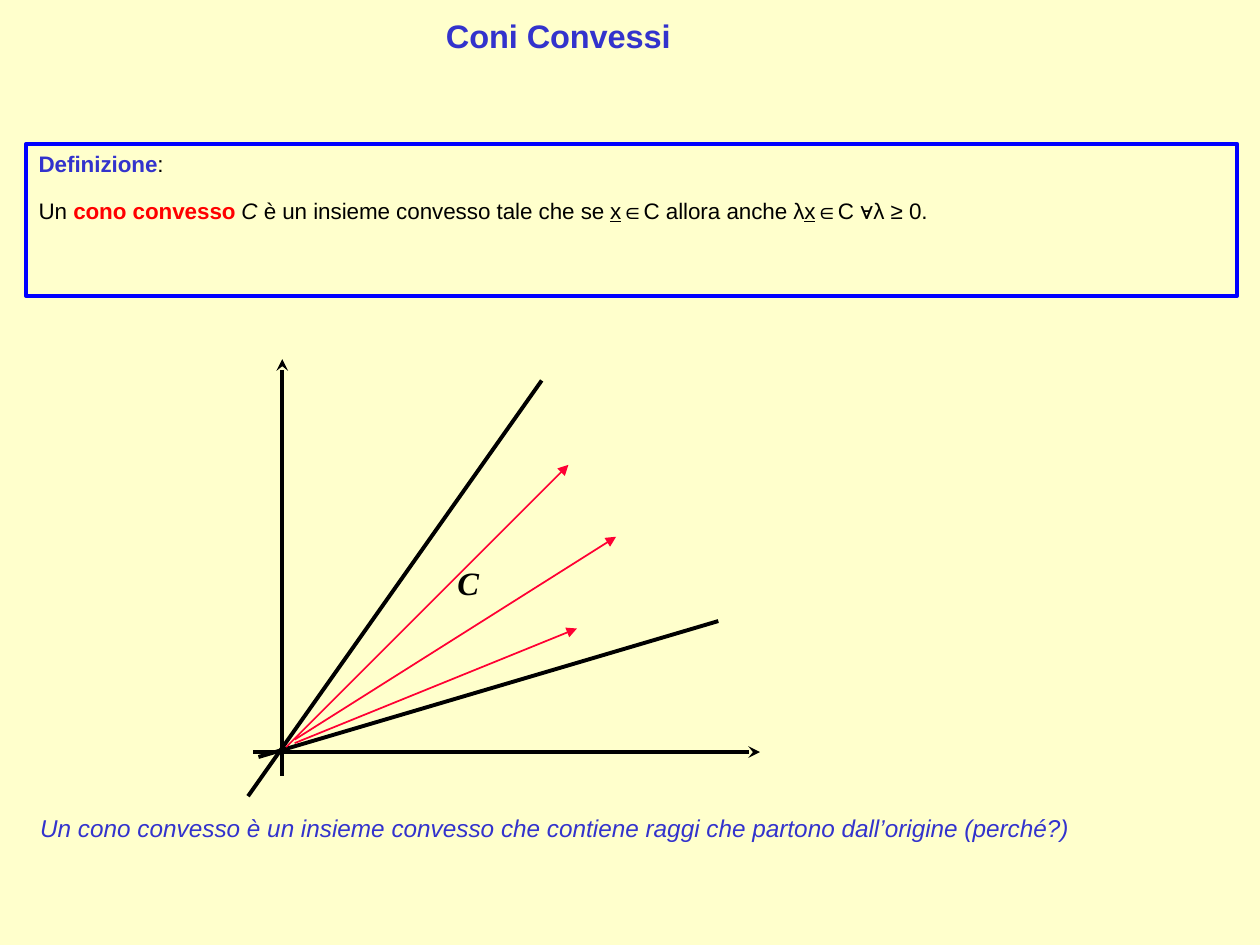
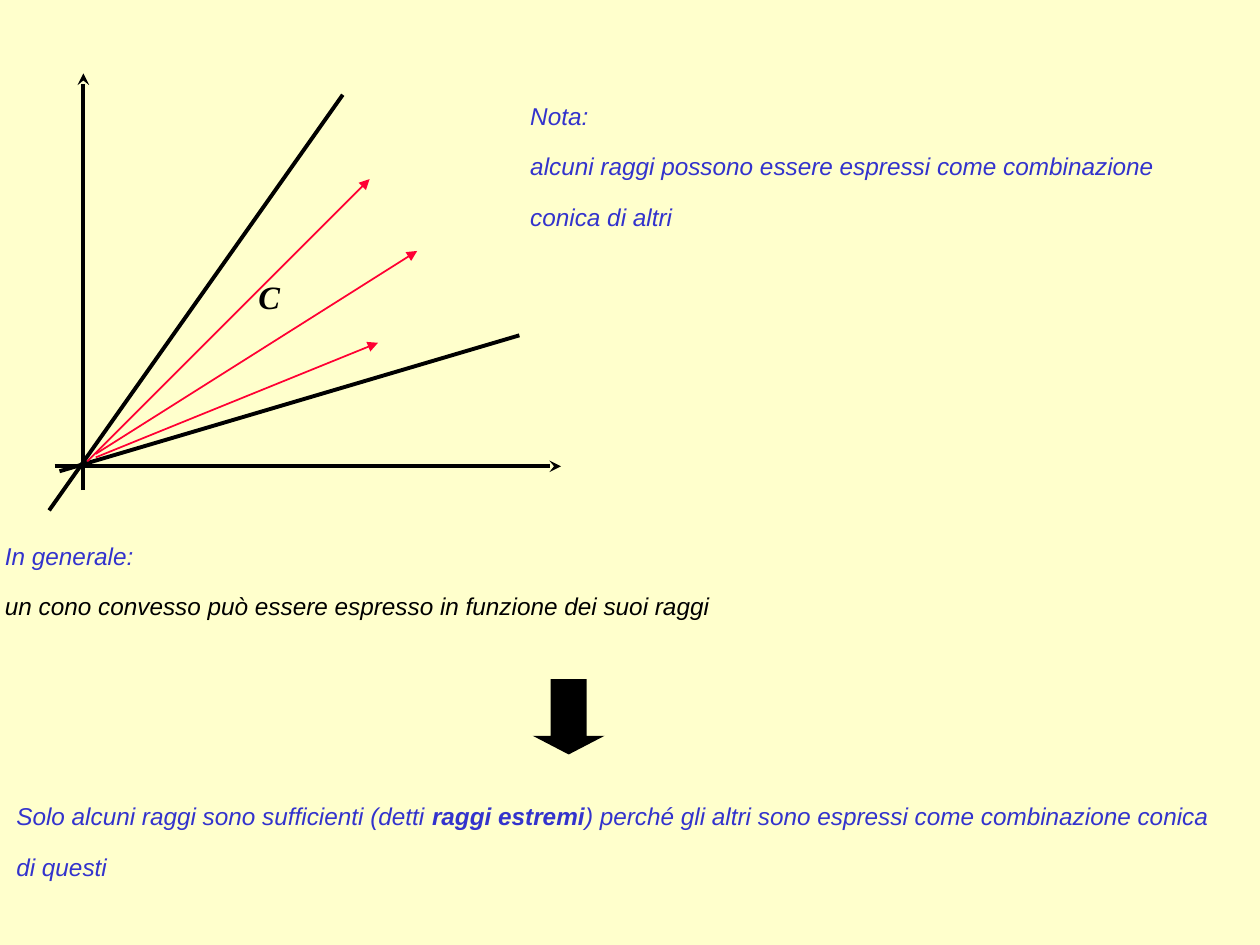
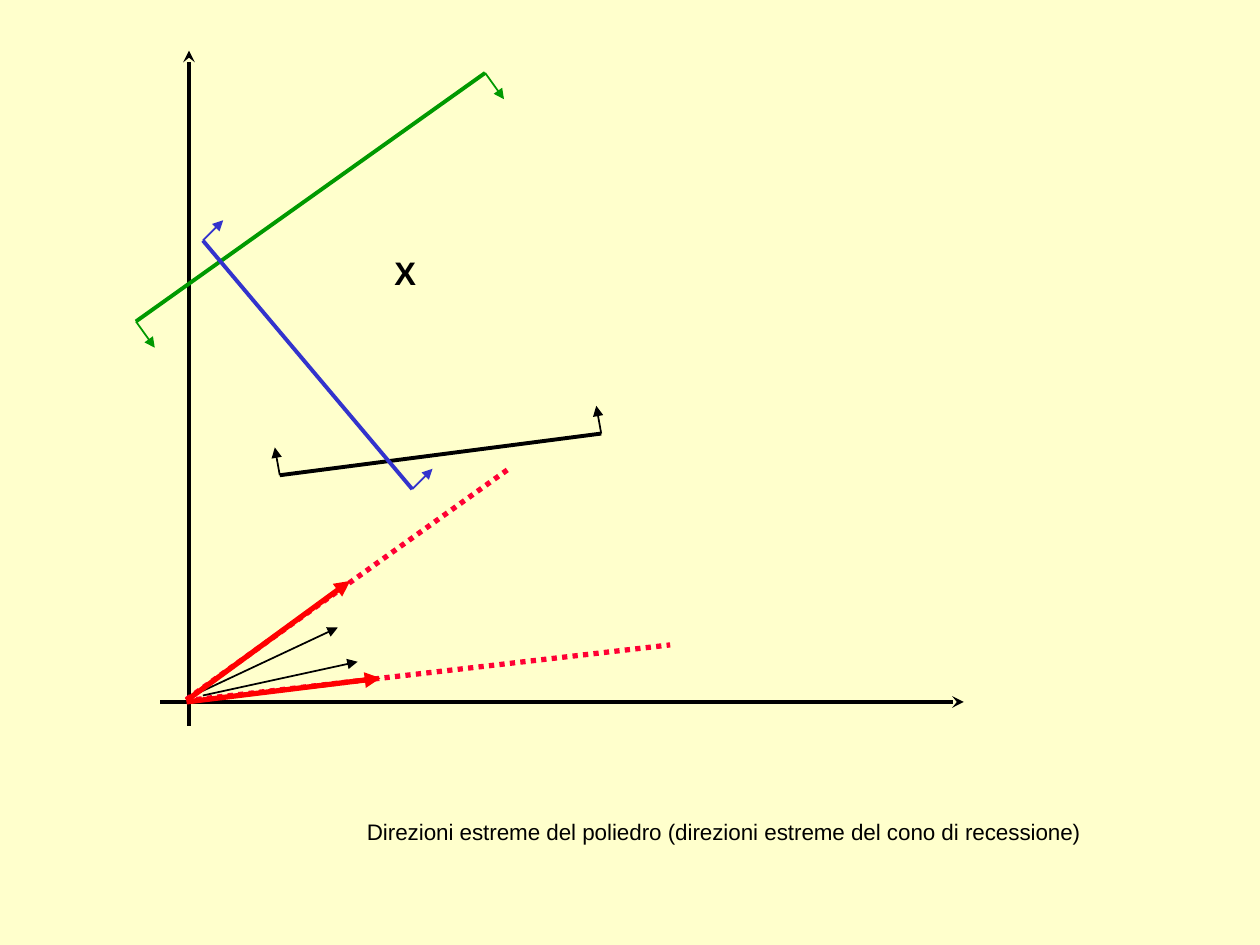
from dataclasses import dataclass
from typing import NamedTuple, Optional

from lxml.etree import SubElement
from pptx import Presentation
from pptx.dml.color import RGBColor
from pptx.enum.dml import MSO_LINE_DASH_STYLE as Dash
from pptx.enum.shapes import MSO_CONNECTOR_TYPE as Connector, MSO_SHAPE as Preset
from pptx.enum.text import MSO_ANCHOR as Anchor, MSO_AUTO_SIZE as AutoSize, PP_ALIGN as Align
from pptx.oxml.ns import qn
from pptx.util import Cm, Pt


# Theme: colours, type sizes and line widths
@dataclass(frozen=True)
class Theme:
    background: str = "FFFFCC"
    accent: str = "3333CC"
    ink: str = "000000"
    frame: str = "0000FF"
    strong: str = "FF0000"
    ray: str = "FF0033"
    green: str = "009900"
    sans: str = "Arial"
    serif: str = "Times New Roman"
    heading_size: int = 32
    note_size: int = 24
    body_size: int = 22
    thin: float = 1
    medium: float = 2.25
    thick: float = 3
    raised: str = "43000"  # all text is set as superscript


THEME = Theme()


class Point(NamedTuple):
    x: float
    y: float

    def moved(self, dx: float, dy: float) -> "Point":
        return Point(round(self.x + dx, 2), round(self.y + dy, 2))


class Box(NamedTuple):
    left: float
    top: float
    width: float
    height: float


@dataclass(frozen=True)
class TextStyle:
    size: int
    color: str
    font: str = THEME.sans
    bold: bool = False
    italic: bool = False
    align: Align = Align.LEFT


class Piece(NamedTuple):
    text: str
    color: Optional[str] = None
    bold: Optional[bool] = None
    italic: Optional[bool] = None
    underline: Optional[bool] = None


class Stroke(NamedTuple):
    start: Point
    end: Point
    color: str = THEME.ink
    width: float = THEME.medium
    arrow: Optional[str] = None
    dash: Optional[Dash] = None


class HalfPlane(NamedTuple):
    start: Point
    end: Point
    normal: Point
    color: str


TITLE = TextStyle(THEME.heading_size, THEME.accent, bold=True)
NOTE = TextStyle(THEME.note_size, THEME.accent, italic=True)
BODY = TextStyle(THEME.body_size, THEME.ink)
CAPTION = TextStyle(THEME.body_size, THEME.ink, align=Align.CENTER)
CONE_LABEL = TextStyle(THEME.heading_size, THEME.ink, THEME.serif, bold=True, italic=True)
SET_LABEL = TextStyle(THEME.heading_size, THEME.ink, bold=True)

# Cone figure, relative to the crossing of its axes
CONE_EDGES = [
    (Point(-0.69, 0.89), Point(5.23, -7.49)),
    (Point(-0.48, 0.1), Point(8.79, -2.64)),
]
CONE_RAYS = [
    (Point(0.08, -0.1), Point(5.77, -5.79)),
    (Point(0.25, -0.25), Point(6.73, -4.34)),
    (Point(0.25, -0.18), Point(5.94, -2.49)),
]

HALF_PLANES = [
    HalfPlane(Point(2.74, 6.48), Point(9.78, 1.47), Point(0.38, 0.53), THEME.green),
    HalfPlane(Point(5.64, 9.58), Point(12.12, 8.74), Point(-0.1, -0.56), THEME.ink),
    HalfPlane(Point(4.09, 4.85), Point(8.31, 9.86), Point(0.41, -0.41), THEME.accent),
]


# Text
def write(shape, paragraphs: list[list[Piece]], style: TextStyle,
          inset: tuple[float, float] = (0.25, 0.13), wrap: bool = True) -> None:
    frame = shape.text_frame
    frame.word_wrap = wrap
    frame.auto_size = AutoSize.SHAPE_TO_FIT_TEXT
    frame.vertical_anchor = Anchor.TOP
    frame.margin_left = frame.margin_right = Cm(inset[0])
    frame.margin_top = frame.margin_bottom = Cm(inset[1])
    for index, pieces in enumerate(paragraphs):
        paragraph = frame.paragraphs[0] if index == 0 else frame.add_paragraph()
        paragraph.alignment = style.align
        font = paragraph.font
        font.name, font.size = style.font, Pt(style.size)
        font.bold, font.italic = style.bold, style.italic
        font.color.rgb = RGBColor.from_string(style.color)
        paragraph._p.pPr.find(qn("a:defRPr")).set("baseline", THEME.raised)
        for piece in pieces:
            run = paragraph.add_run()
            run.text = piece.text
            run.font.bold, run.font.italic = piece.bold, piece.italic
            run.font.underline = piece.underline
            if piece.color:
                run.font.color.rgb = RGBColor.from_string(piece.color)


def add_text(slide, box: Box, paragraphs: list[list[Piece]], style: TextStyle,
             inset: tuple[float, float] = (0.25, 0.13), wrap: bool = True) -> None:
    write(slide.shapes.add_textbox(*map(Cm, box)), paragraphs, style, inset, wrap)


def add_label(slide, corner: Point, text: str, style: TextStyle) -> None:
    add_text(slide, Box(*corner, 1.27, 1.6), [[Piece(text)]], style, wrap=False)


# Lines and figures
def add_stroke(slide, stroke: Stroke) -> None:
    connector = slide.shapes.add_connector(
        Connector.STRAIGHT, *map(Cm, (*stroke.start, *stroke.end)))
    line = connector.line
    line.color.rgb = RGBColor.from_string(stroke.color)
    line.width = Pt(stroke.width)
    if stroke.dash:
        line.dash_style = stroke.dash
    if stroke.arrow:
        SubElement(line._get_or_add_ln(), qn("a:tailEnd"), type=stroke.arrow)
    SubElement(connector._element.spPr, qn("a:effectLst"))


def add_axes(slide, origin: Point, up: float, right: float) -> None:
    add_stroke(slide, Stroke(origin.moved(0, 0.48), origin.moved(0, -up), arrow="stealth"))
    add_stroke(slide, Stroke(origin.moved(-0.58, 0), origin.moved(right, 0), arrow="stealth"))


def add_cone(slide, origin: Point) -> None:
    add_axes(slide, origin, up=7.92, right=9.63)
    add_label(slide, origin.moved(3.28, -3.94), "C", CONE_LABEL)
    for start, end in CONE_EDGES:
        add_stroke(slide, Stroke(origin.moved(*start), origin.moved(*end)))
    for start, end in CONE_RAYS:
        add_stroke(slide, Stroke(origin.moved(*start), origin.moved(*end),
                                 THEME.ray, THEME.thin, "triangle"))


def add_half_plane(slide, plane: HalfPlane) -> None:
    add_stroke(slide, Stroke(plane.start, plane.end, plane.color))
    for foot in (plane.start, plane.end):
        add_stroke(slide, Stroke(foot, foot.moved(*plane.normal), plane.color,
                                 THEME.thin, "triangle"))


# Slides
def build_definition(slide) -> None:
    title = slide.shapes.title
    title.left, title.top, title.width, title.height = map(Cm, (8.74, 0.2, 8.33, 1.6))
    write(title, [[Piece("Coni Convessi")]], TITLE)

    add_text(slide, Box(0.56, 16.26, 24.18, 2.31), [[Piece(
        "Un cono convesso è un insieme convesso che contiene raggi "
        "che partono dall’origine (perché?)")]], NOTE)

    definition = slide.shapes.add_shape(Preset.RECTANGLE, *map(Cm, (0.53, 2.9, 24.41, 3.07)))
    definition.shadow.inherit = False
    definition.fill.background()
    definition.line.color.rgb = RGBColor.from_string(THEME.frame)
    definition.line.width = Pt(THEME.medium)
    write(definition, [
        [Piece("Definizione", THEME.accent, bold=True), Piece(":")],
        [Piece("Un "), Piece("cono convesso ", THEME.strong, bold=True),
         Piece("C ", italic=True), Piece("è un insieme convesso tale che se "),
         Piece("x", underline=True), Piece("∈C allora anche λ"),
         Piece("x", underline=True), Piece("∈C ∀λ ≥ 0.")],
    ], BODY)

    add_cone(slide, Point(5.69, 15.16))


def build_extreme_rays(slide) -> None:
    tight = (0.1, 0.1)
    add_text(slide, Box(0, 10.8, 24.41, 3.33), [
        [Piece("In generale:")],
        [Piece("un cono convesso può essere espresso in funzione dei suoi raggi", THEME.ink)],
    ], NOTE, tight)

    add_cone(slide, Point(1.68, 9.4))

    arrow = slide.shapes.add_shape(Preset.DOWN_ARROW, *map(Cm, (10.74, 13.69, 1.45, 1.52)))
    arrow.adjustments[0], arrow.adjustments[1] = 0.5, 0.26
    arrow.shadow.inherit = False
    arrow.fill.solid()
    arrow.fill.fore_color.rgb = RGBColor.from_string(THEME.ink)
    arrow.line.fill.background()

    add_text(slide, Box(0.23, 16.05, 24.64, 2.31), [[
        Piece("Solo alcuni raggi sono sufficienti (detti "),
        Piece("raggi estremi", bold=True),
        Piece(") perché gli altri sono espressi come combinazione conica di questi"),
    ]], NOTE, tight)
    add_text(slide, Box(10.59, 1.93, 14.27, 3.33), [
        [Piece("Nota:")],
        [Piece("alcuni raggi possono essere espressi come combinazione conica di altri")],
    ], NOTE, tight)


def build_polyhedron(slide) -> None:
    add_axes(slide, Point(3.81, 14.15), up=13.13, right=15.62)
    add_label(slide, Point(7.7, 4.98), "X", SET_LABEL)
    for plane in HALF_PLANES:
        add_half_plane(slide, plane)

    # Recession cone: dotted edges, inner directions, extreme directions
    for start, end in [(Point(3.76, 14.1), Point(10.26, 9.45)),
                       (Point(3.96, 14.1), Point(13.51, 13))]:
        add_stroke(slide, Stroke(start, end, THEME.ray, THEME.thick, dash=Dash.ROUND_DOT))
    for start, end in [(Point(3.89, 14.02), Point(6.81, 12.65)),
                       (Point(4.09, 14.02), Point(7.21, 13.34))]:
        add_stroke(slide, Stroke(start, end, THEME.ink, THEME.thin, "triangle"))

    add_text(slide, Box(5.13, 16.36, 18.9, 2.11), [[Piece(
        "Direzioni estreme del poliedro (direzioni estreme del cono di recessione)")]], CAPTION)

    for start, end in [(Point(3.76, 14.12), Point(7.06, 11.71)),
                       (Point(3.76, 14.15), Point(7.67, 13.67))]:
        add_stroke(slide, Stroke(start, end, THEME.strong, THEME.thick, "triangle"))


def main() -> None:
    presentation = Presentation()
    presentation.slide_width, presentation.slide_height = Cm(25.4), Cm(19.05)
    background = presentation.slide_master.background.fill
    background.solid()
    background.fore_color.rgb = RGBColor.from_string(THEME.background)

    title_only, blank = presentation.slide_layouts[5], presentation.slide_layouts[6]
    for layout, build in [(title_only, build_definition), (blank, build_extreme_rays),
                          (blank, build_polyhedron)]:
        build(presentation.slides.add_slide(layout))
    presentation.save("out.pptx")


if __name__ == "__main__":
    main()
